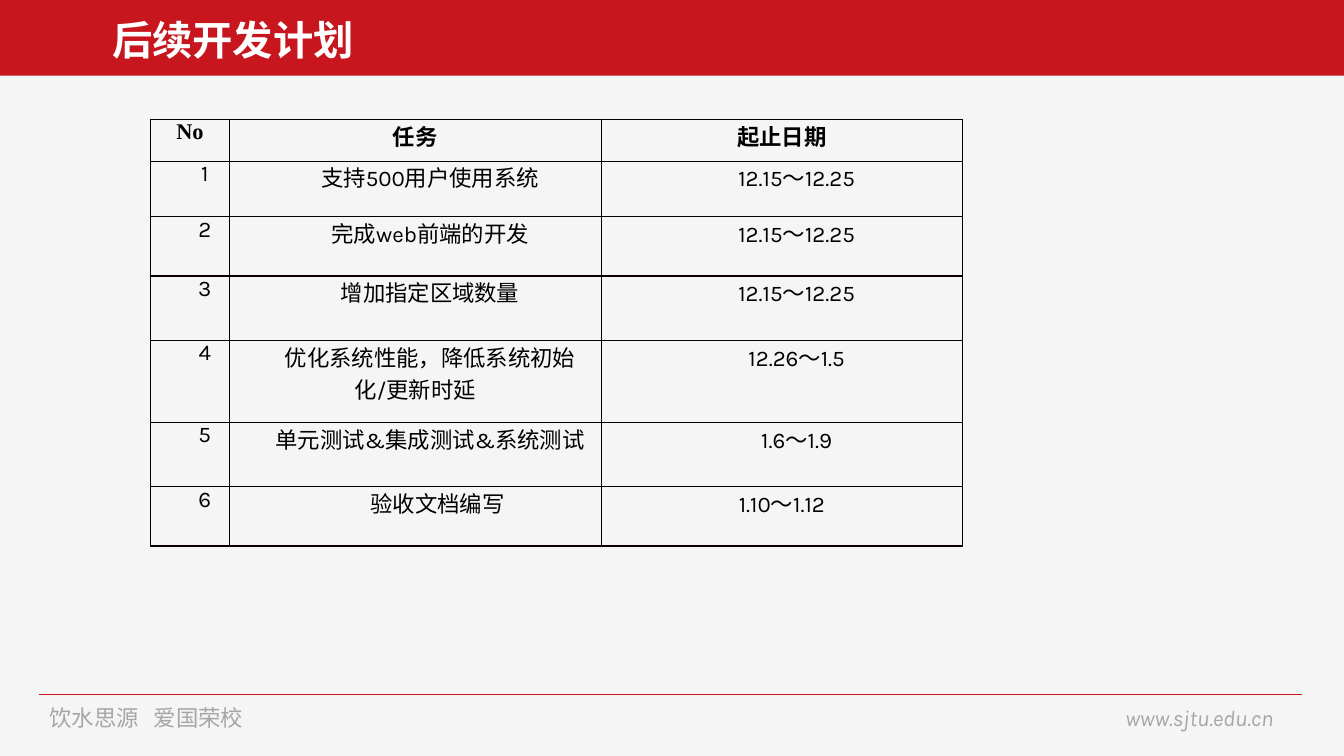
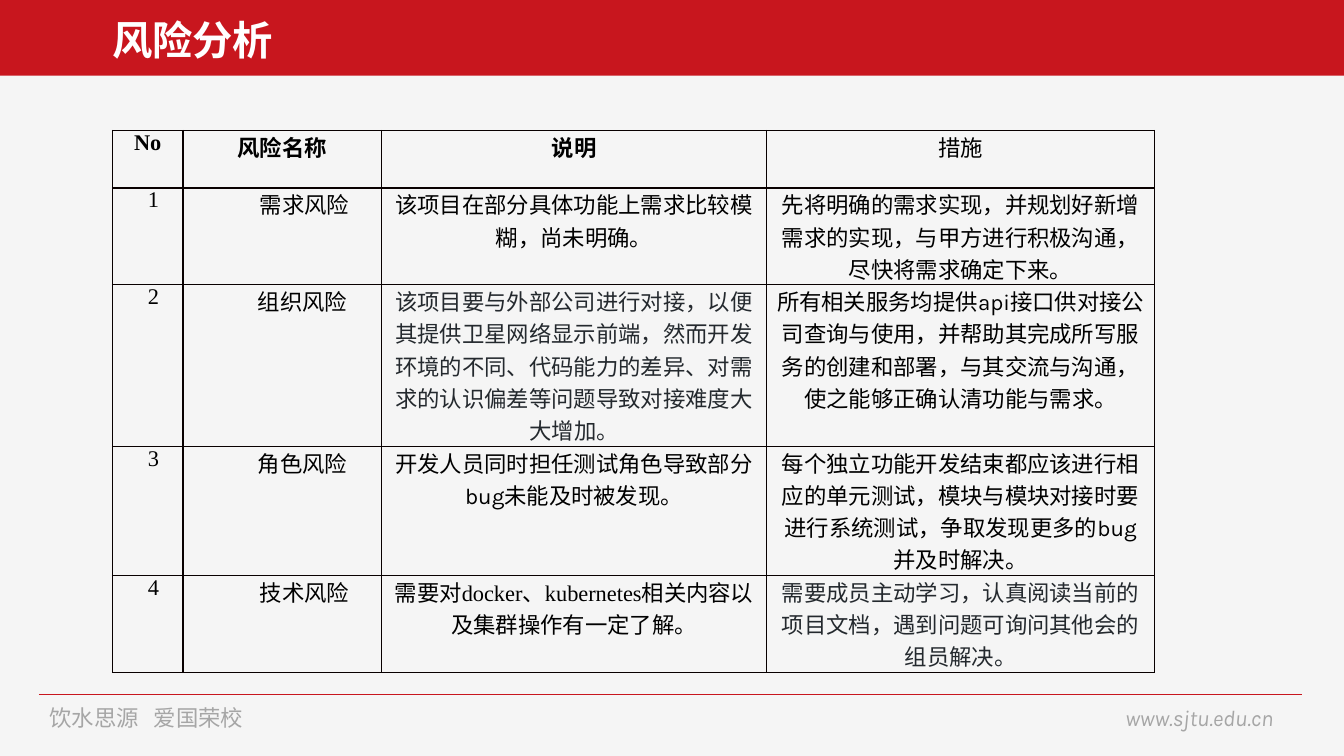
from dataclasses import dataclass

from lxml import etree
from pptx import Presentation
from pptx.dml.color import RGBColor
from pptx.enum.shapes import MSO_CONNECTOR as CONN, MSO_SHAPE as SHAPE
from pptx.enum.text import MSO_ANCHOR as ANCHOR, PP_ALIGN as ALIGN
from pptx.oxml.ns import qn
from pptx.util import Inches, Pt

W, H = Inches(13.333), Inches(7.5)
RED, GRAY, WHITE = "C8161E", "A6A6A6", "FFFFFF"
PAPER, BLACK, SLATE = "F5F5F5", "000000", "24292E"
SANS, SERIF = "Karla", "Times New Roman"
NEAR, MID, FAR = 2.2, 3, 3.3


@dataclass
class Cell:
    text: object
    font: str = SANS
    bold: bool = False
    color: str = BLACK
    indent: float = 0


def rgb(value):
    return RGBColor.from_string(value)


def across(percent):
    return int(W * percent / 100)


def down(percent):
    return int(H * percent / 100)


def place(box):
    x, y, w, h = box
    return across(x), down(y), across(w), down(h)


def style(p, size, color, name=SANS, bold=False, italic=False):
    f = p.font
    f.size, f.name, f.bold, f.italic = Pt(size), name, bold, italic
    f.color.rgb = rgb(color)


def add_text(s, box, text, size, color, tab=None, **look):
    tf = s.shapes.add_textbox(*place(box)).text_frame
    tf.word_wrap = True
    tf.vertical_anchor = ANCHOR.MIDDLE
    p = tf.paragraphs[0]
    p.text = text
    if tab:
        tabs = etree.SubElement(p._p.get_or_add_pPr(), qn("a:tabLst"))
        etree.SubElement(tabs, qn("a:tab"), pos=str(across(tab)), algn="l")
    style(p, size, color, **look)


def add_header(s, title):
    band = s.shapes.add_shape(SHAPE.RECTANGLE, *place((0, 0, 100, 10)))
    band.shadow.inherit = False
    band.fill.solid()
    band.fill.fore_color.rgb = rgb(RED)
    band.line.fill.background()
    add_text(s, (7.6, 1.3, 56.5, 7.85), title, 28.8, WHITE, bold=True)


def add_footer(s):
    y = down(91.85)
    rule = s.shapes.add_connector(CONN.STRAIGHT, across(2.9), y, across(96.9), y)
    rule.line.color.rgb = rgb(RED)
    rule.line.width = Pt(0.5)
    etree.SubElement(rule._element.spPr, qn("a:effectLst"))
    add_text(s, (2.95, 92.4, 18.2, 4.93), "饮水思源\t爱国荣校", 16, GRAY, tab=7.75)
    add_text(s, (83, 92.4, 13.9, 4.93), "www.sjtu.edu.cn", 16, GRAY, italic=True)


def add_borders(cell):
    tcPr = cell._tc.get_or_add_tcPr()
    for side in ("lnL", "lnR", "lnT", "lnB"):
        ln = etree.SubElement(tcPr, qn(f"a:{side}"), w=str(Pt(1)))
        fill = etree.SubElement(ln, qn("a:solidFill"))
        etree.SubElement(fill, qn("a:srgbClr"), val="080000")


def fill_cell(cell, item):
    add_borders(cell)
    cell.fill.background()
    cell.margin_left = cell.margin_right = Inches(0.07)
    cell.margin_top = cell.margin_bottom = 0
    p = cell.text_frame.paragraphs[0]
    p.alignment = ALIGN.CENTER
    if item.indent:
        p._p.get_or_add_pPr().set("indent", str(across(item.indent)))
    style(p, 16, item.color, item.font, item.bold)
    runs = [(item.text, None)] if isinstance(item.text, str) else item.text
    for text, font in runs:
        r = p.add_run()
        r.text = text
        if font:
            r.font.name = font


def add_grid(s, box, cols, rows, items):
    x, y, w, h = place(box)
    table = s.shapes.add_table(len(rows), len(cols), x, y, w, h).table
    table.first_row = table.horz_banding = False
    for col, share in zip(table.columns, cols):
        col.width = int(w * share / sum(cols))
    for row, share, line in zip(table.rows, rows, items):
        row.height = int(h * share / sum(rows))
        for cell, item in zip(row.cells, line):
            fill_cell(cell, item)


def add_slide(prs, title, *grid):
    s = prs.slides.add_slide(prs.slide_layouts[6])
    s.background.fill.solid()
    s.background.fill.fore_color.rgb = rgb(PAPER)
    add_header(s, title)
    add_footer(s)
    add_grid(s, *grid)


def plan_rows():
    tasks = [
        ("支持500用户使用系统", "12.15～12.25"),
        ("完成web前端的开发", "12.15～12.25"),
        ("增加指定区域数量", "12.15～12.25"),
        ("优化系统性能，降低系统初始化/更新时延", "12.26～1.5"),
        ("单元测试&集成测试&系统测试", "1.6～1.9"),
        ("验收文档编写", "1.10～1.12"),
    ]
    head = [Cell("No", SERIF, True), Cell("任务", bold=True),
            Cell("起止日期", SERIF, True)]
    body = [[Cell(text, indent=NEAR) for text in (str(n), *task)]
            for n, task in enumerate(tasks, 1)]
    body[-1][1].indent, body[-1][2].indent = FAR, 0
    return [head, *body]


def risk_rows():
    risks = [
        (Cell("需求风险", indent=FAR),
         Cell("该项目在部分具体功能上需求比较模糊，尚未明确。"),
         Cell("先将明确的需求实现，并规划好新增需求的实现，与甲方进行积极沟通，"
              "尽快将需求确定下来。")),
        (Cell("组织风险", indent=MID),
         Cell("该项目要与外部公司进行对接，以便其提供卫星网络显示前端，"
              "然而开发环境的不同、代码能力的差异、对需求的认识偏差等问题"
              "导致对接难度大大增加。", color=SLATE),
         Cell("所有相关服务均提供api接口供对接公司查询与使用，并帮助其完成所写"
              "服务的创建和部署，与其交流与沟通，使之能够正确认清功能与需求。")),
        (Cell("角色风险", indent=MID),
         Cell("开发人员同时担任测试角色导致部分bug未能及时被发现。"),
         Cell("每个独立功能开发结束都应该进行相应的单元测试，模块与模块对接时要"
              "进行系统测试，争取发现更多的bug并及时解决。")),
        (Cell("技术风险", indent=FAR),
         Cell([("需要对", SANS), ("docker", SERIF), ("、", SANS),
               ("kubernetes", SERIF), ("相关内容以及集群操作有一定了解。", SANS)]),
         Cell("需要成员主动学习，认真阅读当前的项目文档，遇到问题可询问其他会的"
              "组员解决。", color=SLATE)),
    ]
    head = [Cell("No", SERIF, True), Cell("风险名称", bold=True),
            Cell("说明", SERIF, True), Cell("措施")]
    return [head, *([Cell(str(n), SERIF, indent=0.83), *risk]
                    for n, risk in enumerate(risks, 1))]


def main():
    prs = Presentation()
    prs.slide_width, prs.slide_height = W, H
    add_slide(prs, "后续开发计划", (11.21, 15.85, 60.4, 56.4),
              (0.78, 3.69, 3.58), (0.41, 0.55, 0.59, 0.64, 0.81, 0.64, 0.59),
              plan_rows())
    add_slide(prs, "风险分析", (8.37, 17.25, 77.55, 71.7),
              (0.7, 1.97, 3.82, 3.85), (0.57, 0.96, 1.6, 1.28, 0.96),
              risk_rows())
    prs.save("out.pptx")


if __name__ == "__main__":
    main()
